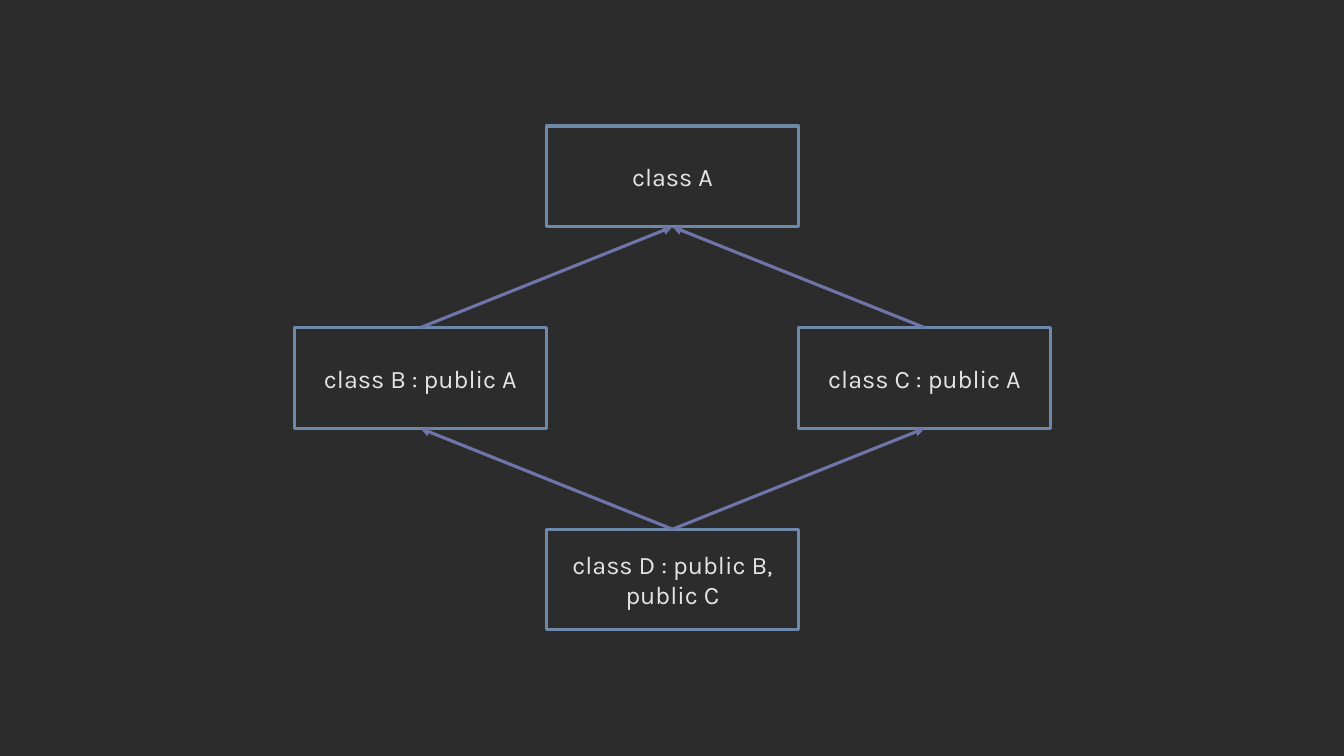
from lxml.etree import SubElement
from pptx import Presentation
from pptx.dml.color import RGBColor
from pptx.enum.shapes import MSO_CONNECTOR, MSO_SHAPE
from pptx.enum.text import MSO_ANCHOR, PP_ALIGN
from pptx.oxml.ns import qn
from pptx.util import Inches, Pt

BACKGROUND, TEXT = "2C2C2C", "E4E4E4"
BOX_LINE, ARROW_LINE = "6D88A8", "6E75A8"
BOX_WIDTH, BOX_HEIGHT = 2.5, 1
TOP_SITE, BOTTOM_SITE = 0, 2

# Text, column and row of each class on the diagram grid
CLASSES = {
    "A": ("class A", 1, 0),
    "B": ("class B : public A", 0, 1),
    "C": ("class C : public A", 2, 1),
    "D": ("class D : public B, public C", 1, 2),
}
INHERITANCE = [("D", "B"), ("D", "C"), ("B", "A"), ("C", "A")]


def color(value):
    return RGBColor.from_string(value)


def style_line(shape, value):
    shape.line.color.rgb = color(value)
    shape.line.width = Pt(2.25)


def add_class_box(slide, text, left, top):
    shape = slide.shapes.add_shape(
        MSO_SHAPE.RECTANGLE, Inches(left), Inches(top),
        Inches(BOX_WIDTH), Inches(BOX_HEIGHT))
    shape.shadow.inherit = False
    shape.fill.background()
    style_line(shape, BOX_LINE)
    frame = shape.text_frame
    frame.word_wrap = True
    frame.vertical_anchor = MSO_ANCHOR.MIDDLE
    paragraph = frame.paragraphs[0]
    paragraph.text = text
    paragraph.alignment = PP_ALIGN.CENTER
    paragraph.font.name = "Karla"
    paragraph.font.size = Pt(18)
    paragraph.font.color.rgb = color(TEXT)
    return shape


def add_inheritance_arrow(slide, child, parent):
    connector = slide.shapes.add_connector(MSO_CONNECTOR.STRAIGHT, 0, 0, 0, 0)
    connector.begin_connect(child, TOP_SITE)
    connector.end_connect(parent, BOTTOM_SITE)
    style_line(connector, ARROW_LINE)
    # Arrowhead at the parent, no shadow
    SubElement(connector.line._get_or_add_ln(), qn("a:tailEnd"), type="triangle")
    SubElement(connector._element.spPr, qn("a:effectLst"))


def add_class_diagram(slide, left, top):
    # Class boxes: columns touch, rows are one box height apart
    boxes = {
        name: add_class_box(slide, text, left + column * BOX_WIDTH,
                            top + row * 2 * BOX_HEIGHT)
        for name, (text, column, row) in CLASSES.items()
    }
    # Arrows from child to parent
    for child, parent in INHERITANCE:
        add_inheritance_arrow(slide, boxes[child], boxes[parent])


def main():
    presentation = Presentation()
    presentation.slide_width = Inches(13.33)
    presentation.slide_height = Inches(7.5)
    slide = presentation.slides.add_slide(presentation.slide_layouts[6])
    slide.background.fill.solid()
    slide.background.fill.fore_color.rgb = color(BACKGROUND)
    add_class_diagram(slide, 2.92, 1.25)
    presentation.save("out.pptx")


if __name__ == "__main__":
    main()
